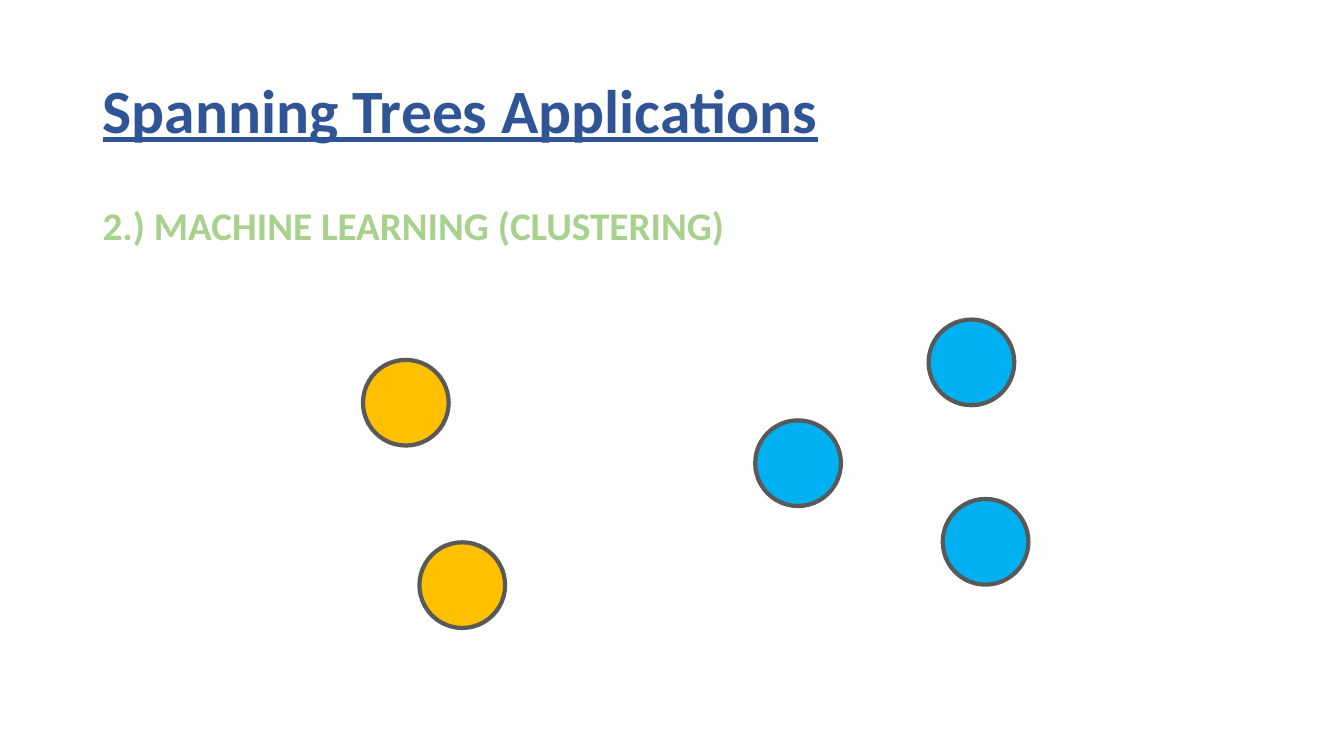
from dataclasses import dataclass

from pptx import Presentation
from pptx import util as u
from pptx.dml.color import RGBColor
from pptx.enum import shapes, text
from pptx.slide import Slide


@dataclass(frozen=True)
class Theme:
    font: str = "Calibri"
    title_size: int = 44
    heading_size: int = 28
    title: str = "2F5597"
    heading: str = "A9D18E"
    outline: str = "595959"
    left_cluster: str = "FFC000"
    right_cluster: str = "00B0F0"


@dataclass(frozen=True)
class Label:
    wording: str
    top: float
    height: float
    size: int
    color: str
    anchor: text.MSO_ANCHOR
    underline: bool = False
    space_before: int = 0


@dataclass(frozen=True)
class Point:
    left: float
    top: float
    color: str


THEME = Theme()
MARGIN = 0.92
TEXT_WIDTH = 11.5
DIAMETER = 0.85
OUTLINE_WIDTH = 3

LABELS = [
    Label("Spanning Trees Applications", 0.4, 1.45, THEME.title_size,
          THEME.title, text.MSO_ANCHOR.MIDDLE, underline=True),
    Label("2.) MACHINE LEARNING (CLUSTERING)", 2, 4.76, THEME.heading_size,
          THEME.heading, text.MSO_ANCHOR.TOP, space_before=10),
]

POINTS = [
    Point(3.6, 3.57, THEME.left_cluster),
    Point(4.16, 5.38, THEME.left_cluster),
    Point(9.21, 3.17, THEME.right_cluster),
    Point(7.49, 4.17, THEME.right_cluster),
    Point(9.35, 4.95, THEME.right_cluster),
]


def draw_label(page: Slide, label: Label) -> None:
    box = page.shapes.add_textbox(u.Inches(MARGIN), u.Inches(label.top),
                                  u.Inches(TEXT_WIDTH), u.Inches(label.height))
    frame = box.text_frame
    frame.word_wrap = True
    frame.vertical_anchor = label.anchor
    frame.text = label.wording
    para = frame.paragraphs[0]
    para.line_spacing = 0.9
    para.space_before = u.Pt(label.space_before)
    font = para.runs[0].font
    font.name = THEME.font
    font.size = u.Pt(label.size)
    font.bold = True
    font.underline = label.underline
    font.color.rgb = RGBColor.from_string(label.color)


def draw_point(page: Slide, point: Point) -> None:
    circle = page.shapes.add_shape(
        shapes.MSO_SHAPE.OVAL, u.Inches(point.left), u.Inches(point.top),
        u.Inches(DIAMETER), u.Inches(DIAMETER))
    circle.shadow.inherit = False
    circle.fill.solid()
    circle.fill.fore_color.rgb = RGBColor.from_string(point.color)
    circle.line.color.rgb = RGBColor.from_string(THEME.outline)
    circle.line.width = u.Pt(OUTLINE_WIDTH)


def main() -> None:
    deck = Presentation()
    deck.slide_width = u.Inches(13.33)
    deck.slide_height = u.Inches(7.5)
    page = deck.slides.add_slide(deck.slide_layouts[6])
    for label in LABELS:
        draw_label(page, label)
    for point in POINTS:
        draw_point(page, point)
    deck.save("out.pptx")


main()
